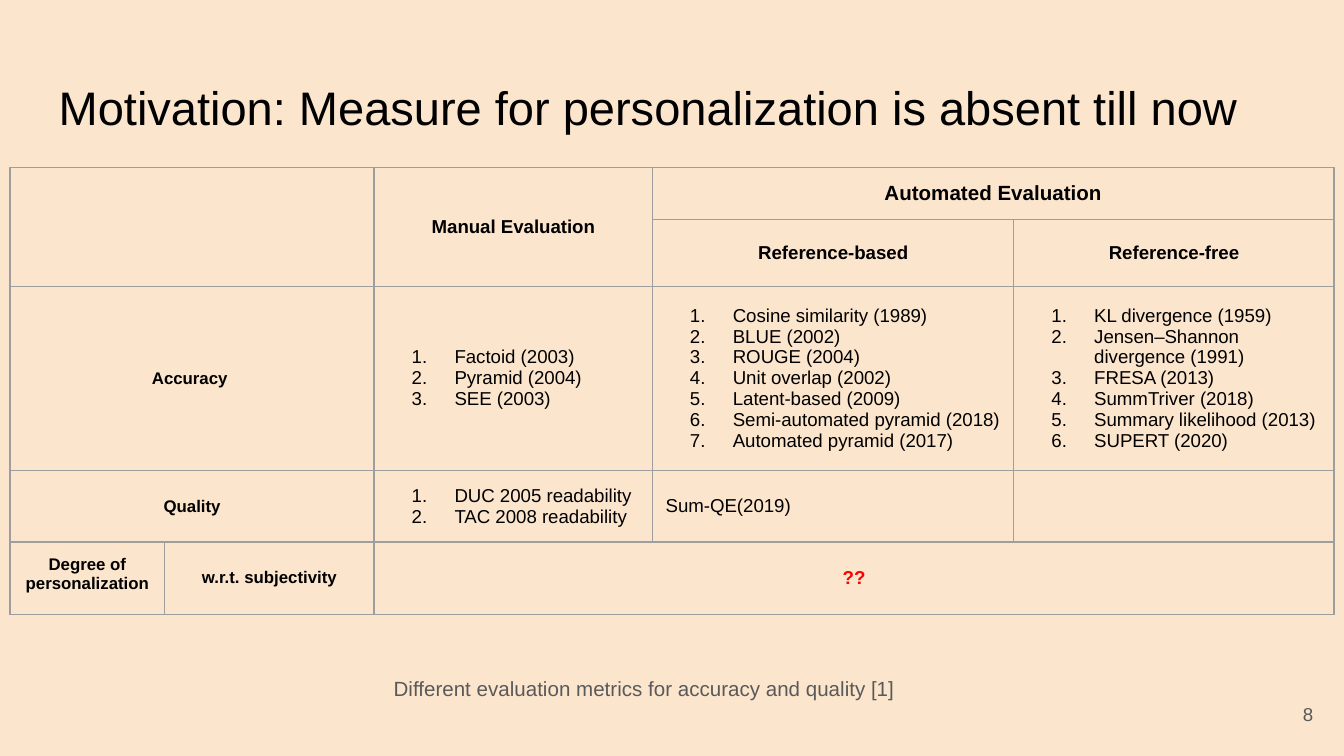
import pptx
import pptx.dml.color
import pptx.enum.text
import pptx.oxml
import pptx.oxml.ns
import pptx.util
from lxml import etree

Cm = pptx.util.Cm
RGBColor = pptx.dml.color.RGBColor
ALIGN = pptx.enum.text.PP_ALIGN
ANCHOR = pptx.enum.text.MSO_ANCHOR

PEACH = RGBColor(0xFC, 0xE5, 0xCD)
BLACK = RGBColor(0x00, 0x00, 0x00)
GRAY = RGBColor(0x59, 0x59, 0x59)
BORDER = RGBColor(0x9E, 0x9E, 0x9E)
RED = RGBColor(0xFF, 0x00, 0x00)

PADDING = Cm(0.25)
COLUMN_WIDTHS = [2.92, 3.96, 5.26, 6.83, 6.05]
ROW_HEIGHTS = [0.98, 0.93, 3.48, 1.35, 1.37]
SPANS = [(0, 0, 1, 1), (0, 2, 1, 2), (0, 3, 0, 4), (2, 0, 2, 1), (3, 0, 3, 1), (4, 2, 4, 4)]

HEADINGS = [
    (0, 2, "Manual Evaluation", 10),
    (0, 3, "Automated Evaluation", 11),
    (1, 3, "Reference-based", 10),
    (1, 4, "Reference-free", 10),
    (2, 0, "Accuracy ", 9),
    (3, 0, "Quality", 9),
    (4, 0, "Degree of personalization", 9),
    (4, 1, "w.r.t. subjectivity", 9),
]
METRICS = {
    (2, 2): ["Factoid (2003)", "Pyramid (2004)", "SEE (2003)"],
    (2, 3): ["Cosine similarity (1989)", "BLUE (2002)", "ROUGE (2004)",
             "Unit overlap (2002)", "Latent-based (2009)",
             "Semi-automated pyramid (2018)", "Automated pyramid (2017)"],
    (2, 4): ["KL divergence (1959)", "Jensen–Shannon divergence (1991)",
             "FRESA (2013)", "SummTriver (2018)", "Summary likelihood (2013)",
             "SUPERT (2020)"],
    (3, 2): ["DUC 2005 readability", "TAC 2008 readability"],
}


def number_paragraph(paragraph):
    properties = paragraph._p.get_or_add_pPr()
    properties.set("marL", str(Cm(1.27)))
    properties.set("indent", str(Cm(-0.81)))
    color = etree.SubElement(properties, pptx.oxml.ns.qn("a:buClr"))
    etree.SubElement(color, pptx.oxml.ns.qn("a:srgbClr"), val=str(BLACK))
    etree.SubElement(properties, pptx.oxml.ns.qn("a:buAutoNum"), type="arabicPeriod")


def write_text(frame, text, size=10, color=BLACK, bold=False, align=ALIGN.LEFT, numbered=False):
    for index, line in enumerate(text.split("\n")):
        paragraph = frame.add_paragraph() if index else frame.paragraphs[0]
        paragraph.alignment = align
        if numbered:
            number_paragraph(paragraph)
        run = paragraph.add_run()
        run.text = line
        run.font.name = "Arial"
        run.font.size = pptx.util.Pt(size)
        run.font.bold = bold
        run.font.color.rgb = color


def add_caption(slide, box, text, anchor=ANCHOR.TOP, **text_format):
    frame = slide.shapes.add_textbox(*map(Cm, box)).text_frame
    frame.word_wrap = True
    frame.vertical_anchor = anchor
    frame.margin_left = frame.margin_right = PADDING
    frame.margin_top = frame.margin_bottom = PADDING
    write_text(frame, text, **text_format)


def style_cell(cell):
    properties = cell._tc.get_or_add_tcPr()
    for index, side in enumerate(["lnL", "lnR", "lnT", "lnB"]):
        properties.insert(index, pptx.oxml.parse_xml(
            f'<a:{side} {pptx.oxml.ns.nsdecls("a")} w="{pptx.util.Pt(0.75)}">'
            f'<a:solidFill><a:srgbClr val="{BORDER}"/></a:solidFill></a:{side}>'))
    cell.fill.background()
    cell.vertical_anchor = ANCHOR.MIDDLE
    cell.margin_left = cell.margin_right = PADDING
    cell.margin_top = cell.margin_bottom = PADDING


def add_metrics_table(slide, box):
    table = slide.shapes.add_table(len(ROW_HEIGHTS), len(COLUMN_WIDTHS), *map(Cm, box)).table
    table.first_row = table.horz_banding = False
    for column, width in zip(table.columns, COLUMN_WIDTHS):
        column.width = Cm(width)
    for row, height in zip(table.rows, ROW_HEIGHTS):
        row.height = Cm(height)
    for cell in table.iter_cells():
        style_cell(cell)
    for top, left, bottom, right in SPANS:
        table.cell(top, left).merge(table.cell(bottom, right))

    for row, column, heading, size in HEADINGS:
        write_text(table.cell(row, column).text_frame, heading,
                   size=size, bold=True, align=ALIGN.CENTER)
    for position, metrics in METRICS.items():
        write_text(table.cell(*position).text_frame, "\n".join(metrics), numbered=True)
    write_text(table.cell(3, 3).text_frame, "Sum-QE(2019)")
    write_text(table.cell(4, 2).text_frame, "??", color=RED, bold=True, align=ALIGN.CENTER)
    table.cell(4, 0).vertical_anchor = ANCHOR.TOP


def main():
    presentation = pptx.Presentation()
    presentation.slide_width = Cm(25.4)
    presentation.slide_height = Cm(14.29)
    slide = presentation.slides.add_slide(presentation.slide_layouts[6])
    slide.background.fill.solid()
    slide.background.fill.fore_color.rgb = PEACH

    add_caption(slide, (0.86, 1.24, 23.67, 1.6),
                "Motivation: Measure for personalization is absent till now", size=25.2)
    add_caption(slide, (23.55, 12.95, 1.52, 1.09), "8",
                anchor=ANCHOR.MIDDLE, color=GRAY, align=ALIGN.RIGHT)
    add_caption(slide, (7.19, 12.55, 10.39, 0.99),
                "Different evaluation metrics for accuracy and quality [1]", size=11, color=GRAY)
    add_metrics_table(slide, (0.19, 3.17, sum(COLUMN_WIDTHS), sum(ROW_HEIGHTS)))
    presentation.save("out.pptx")


if __name__ == "__main__":
    main()
